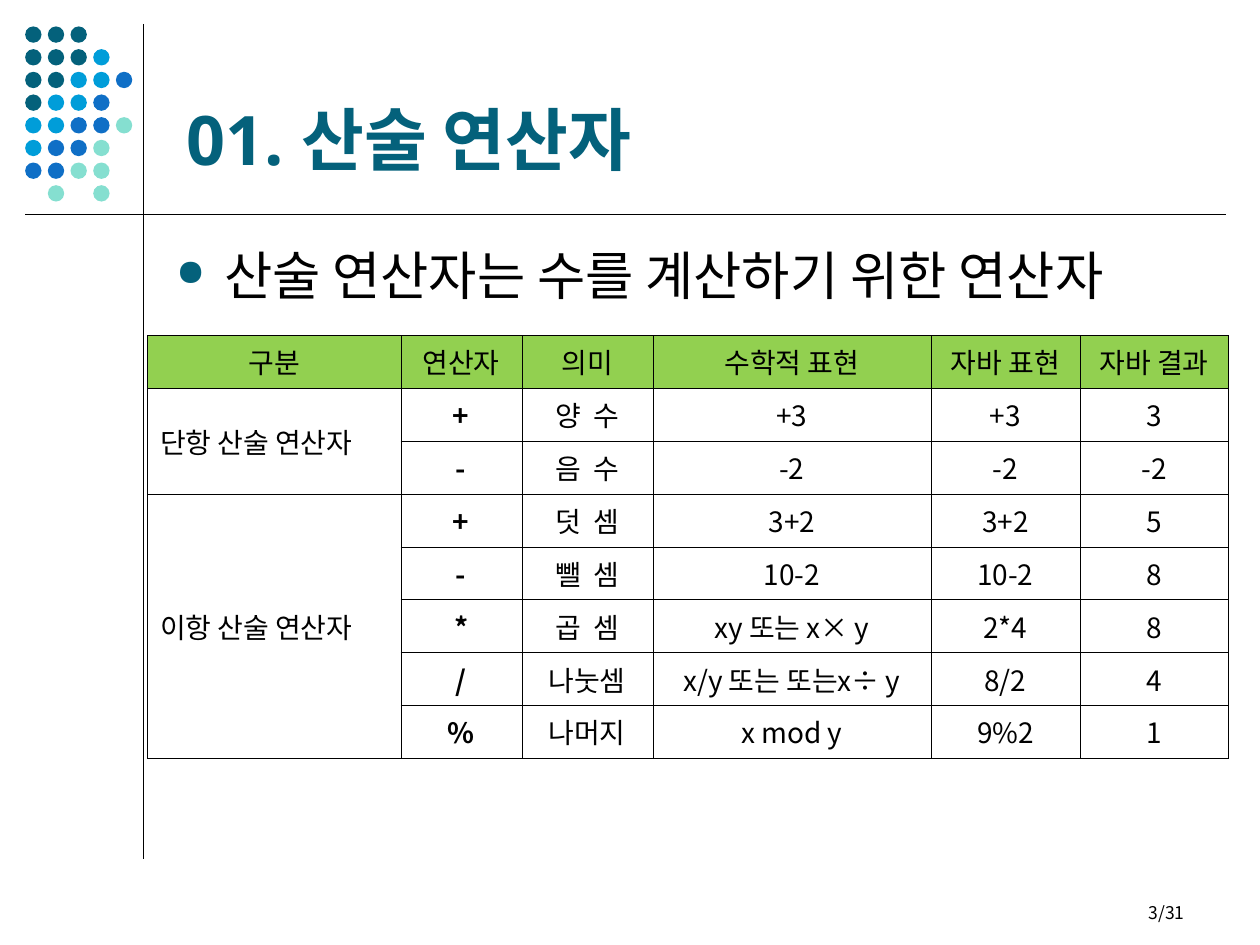
from dataclasses import dataclass

from lxml.etree import SubElement
from pptx import Presentation
from pptx.dml.color import RGBColor
from pptx.enum.shapes import MSO_CONNECTOR, MSO_SHAPE
from pptx.enum.text import MSO_ANCHOR, MSO_AUTO_SIZE, PP_ALIGN
from pptx.oxml import parse_xml
from pptx.oxml.ns import nsdecls, qn
from pptx.util import Inches, Pt

TEAL = RGBColor(0x04, 0x61, 0x7B)
SKY = RGBColor(0x00, 0x9D, 0xD9)
BLUE = RGBColor(0x0F, 0x6F, 0xC6)
MINT = RGBColor(0x85, 0xDF, 0xD0)
GREEN = RGBColor(0x92, 0xD0, 0x50)
BLACK = RGBColor(0x00, 0x00, 0x00)

KOREAN_FONT = "Noto Sans CJK KR"

# One letter per dot, "." for a gap
DOT_ROWS = ["TTT..", "TTTS.", "TTSSB", "TSSB.", "SSBBM", "SBBM.", "BBMM.", ".M.M."]
DOT_COLORS = {"T": TEAL, "S": SKY, "B": BLUE, "M": MINT}
DOT_LEFT, DOT_TOP, DOT_PITCH, DOT_SIZE = 0.2, 0.21, 0.18, 0.13

HEADERS = ["구분", "연산자", "의미", "수학적 표현", "자바 표현", "자바 결과"]
COLUMN_WIDTHS = [2.01, 0.96, 1.04, 2.21, 1.18, 1.18]
ROW_HEIGHT = 0.42


@dataclass
class OperatorGroup:
    label: str
    rows: list[tuple[str, str, str, str, str]]


OPERATOR_GROUPS = [
    OperatorGroup("단항 산술 연산자", [
        ("+", "양  수", "+3", "+3", "3"),
        ("-", "음  수", "-2", "-2", "-2"),
    ]),
    OperatorGroup("이항 산술 연산자", [
        ("+", "덧  셈", "3+2", "3+2", "5"),
        ("-", "뺄  셈", "10-2", "10-2", "8"),
        ("*", "곱  셈", "xy 또는 x× y", "2*4", "8"),
        ("/", "나눗셈", "x/y 또는 또는x÷ y", "8/2", "4"),
        ("%", "나머지", "x mod y", "9%2", "1"),
    ]),
]


def format_paragraph(paragraph, size: float, font: str = KOREAN_FONT,
                     color: RGBColor = BLACK, bold: bool = False,
                     alignment: PP_ALIGN = PP_ALIGN.LEFT) -> None:
    paragraph.alignment = alignment
    for run in paragraph.runs:
        run.font.size = Pt(size)
        run.font.name = font
        run.font.bold = bold
        run.font.color.rgb = color
        SubElement(run.font._element, qn("a:ea"), typeface=KOREAN_FONT)


def add_rule(slide, x1: float, y1: float, x2: float, y2: float) -> None:
    rule = slide.shapes.add_connector(
        MSO_CONNECTOR.STRAIGHT, Inches(x1), Inches(y1), Inches(x2), Inches(y2))
    rule.line.color.rgb = BLACK
    rule.line.width = Pt(0.75)
    SubElement(rule._element.spPr, qn("a:effectLst"))


def add_dots(slide) -> None:
    group = slide.shapes.add_group_shape()
    for row, letters in enumerate(DOT_ROWS):
        for column, letter in enumerate(letters):
            if letter == ".":
                continue
            dot = group.shapes.add_shape(
                MSO_SHAPE.OVAL,
                Inches(DOT_LEFT + column * DOT_PITCH), Inches(DOT_TOP + row * DOT_PITCH),
                Inches(DOT_SIZE), Inches(DOT_SIZE))
            dot.shadow.inherit = False
            dot.fill.solid()
            dot.fill.fore_color.rgb = DOT_COLORS[letter]
            dot.line.fill.background()


def add_text_box(slide, left: float, top: float, width: float, height: float, text: str):
    box = slide.shapes.add_textbox(Inches(left), Inches(top), Inches(width), Inches(height))
    box.text_frame.word_wrap = True
    box.text_frame.text = text
    return box.text_frame.paragraphs[0]


def add_bullet(paragraph) -> None:
    properties = paragraph._p.get_or_add_pPr()
    properties.set("marL", str(Inches(0.38)))
    properties.set("indent", str(-Inches(0.38)))
    for xml in (f'<a:buClr {nsdecls("a")}><a:srgbClr val="{TEAL}"/></a:buClr>',
                f'<a:buSzPct {nsdecls("a")} val="70000"/>',
                f'<a:buChar {nsdecls("a")} char="●"/>'):
        properties.append(parse_xml(xml))


def fill_cell(cell, text: str, bold: bool = False,
              alignment: PP_ALIGN = PP_ALIGN.CENTER) -> None:
    cell.text_frame.text = text
    cell.vertical_anchor = MSO_ANCHOR.MIDDLE
    format_paragraph(cell.text_frame.paragraphs[0], 16, bold=bold, alignment=alignment)


def style_cell(cell, is_header: bool) -> None:
    properties = cell._tc.get_or_add_tcPr()
    for side in ("lnL", "lnR", "lnT", "lnB"):
        properties.append(parse_xml(
            f'<a:{side} {nsdecls("a")} w="{Pt(0.06)}"><a:solidFill>'
            f'<a:srgbClr val="{BLACK}"/></a:solidFill></a:{side}>'))
    if is_header:
        cell.fill.solid()
        cell.fill.fore_color.rgb = GREEN
    else:
        cell.fill.background()


def add_operator_table(slide) -> None:
    row_count = 1 + sum(len(group.rows) for group in OPERATOR_GROUPS)
    table = slide.shapes.add_table(
        row_count, len(HEADERS), Inches(1.17), Inches(2.66),
        Inches(sum(COLUMN_WIDTHS)), Inches(row_count * ROW_HEIGHT)).table
    for column, width in zip(table.columns, COLUMN_WIDTHS):
        column.width = Inches(width)
    for index, row in enumerate(table.rows):
        row.height = Inches(ROW_HEIGHT)
        for cell in row.cells:
            style_cell(cell, is_header=index == 0)

    for column, header in enumerate(HEADERS):
        fill_cell(table.cell(0, column), header)

    # Each group label spans the rows of its operators
    first_row = 1
    for group in OPERATOR_GROUPS:
        last_row = first_row + len(group.rows) - 1
        table.cell(first_row, 0).merge(table.cell(last_row, 0))
        fill_cell(table.cell(first_row, 0), group.label, alignment=PP_ALIGN.JUSTIFY)
        for row, values in enumerate(group.rows, first_row):
            for column, value in enumerate(values, 1):
                fill_cell(table.cell(row, column), value, bold=column == 1)
        first_row = last_row + 1


def main() -> None:
    presentation = Presentation()
    presentation.slide_width, presentation.slide_height = Inches(10), Inches(7.5)
    slide = presentation.slides.add_slide(presentation.slide_layouts[5])

    # Frame lines and dot pattern
    add_rule(slide, 1.14, 0.19, 1.14, 6.82)
    add_dots(slide)
    add_rule(slide, 0.2, 1.7, 9.73, 1.7)

    # Title
    title = slide.shapes.title
    title.left, title.top = Inches(1.38), Inches(0.21)
    title.width, title.height = Inches(8.25), Inches(1.26)
    title.text_frame.text = "01. 산술 연산자"
    title.text_frame.auto_size = MSO_AUTO_SIZE.NONE
    title.text_frame.vertical_anchor = MSO_ANCHOR.BOTTOM
    format_paragraph(title.text_frame.paragraphs[0], 39, "Noto Sans", TEAL, bold=True)

    # Definition
    definition = add_text_box(slide, 1.3, 1.88, 8.2, 4.82,
                              "산술 연산자는 수를 계산하기 위한 연산자")
    add_bullet(definition)
    format_paragraph(definition, 30, "TeX Gyre Pagella")

    # Operators
    add_operator_table(slide)

    # Page number
    page_number = add_text_box(slide, 7.17, 7.11, 2.33, 0.22, "3/31")
    format_paragraph(page_number, 10, alignment=PP_ALIGN.RIGHT)

    presentation.save("out.pptx")


if __name__ == "__main__":
    main()
